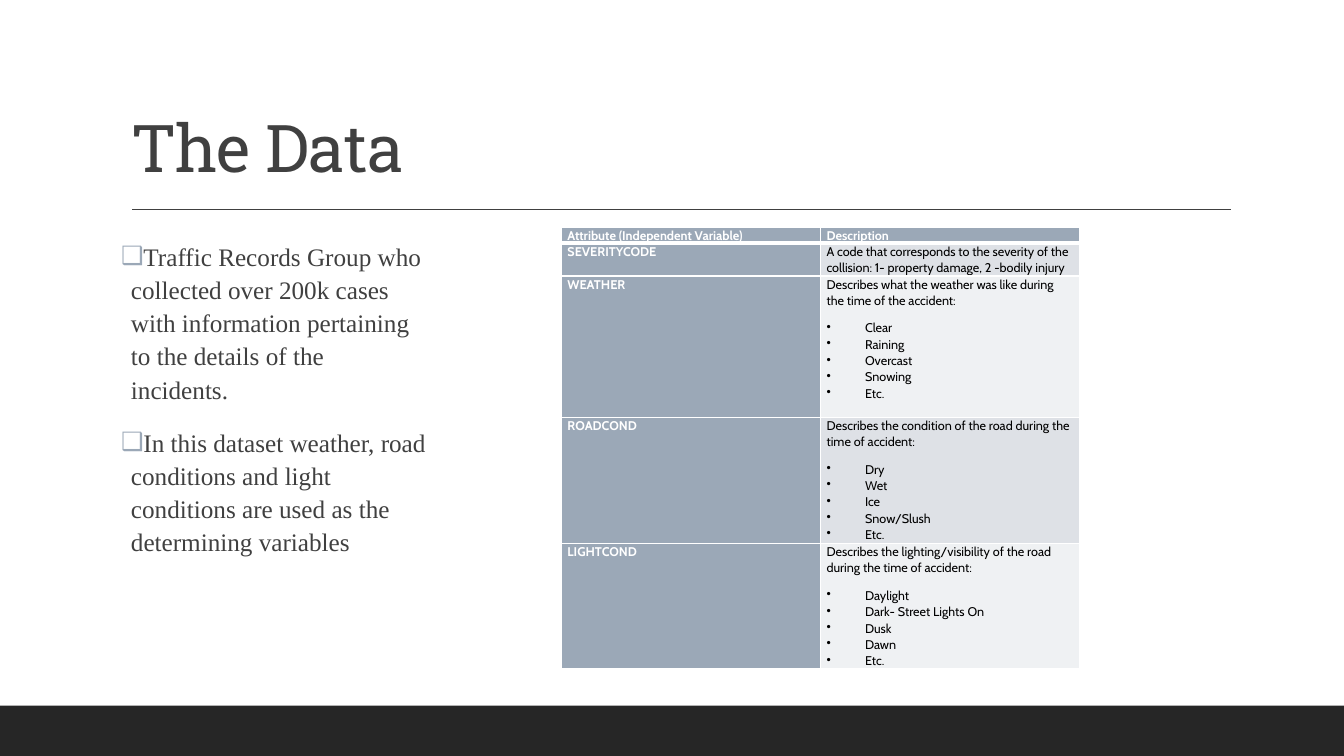
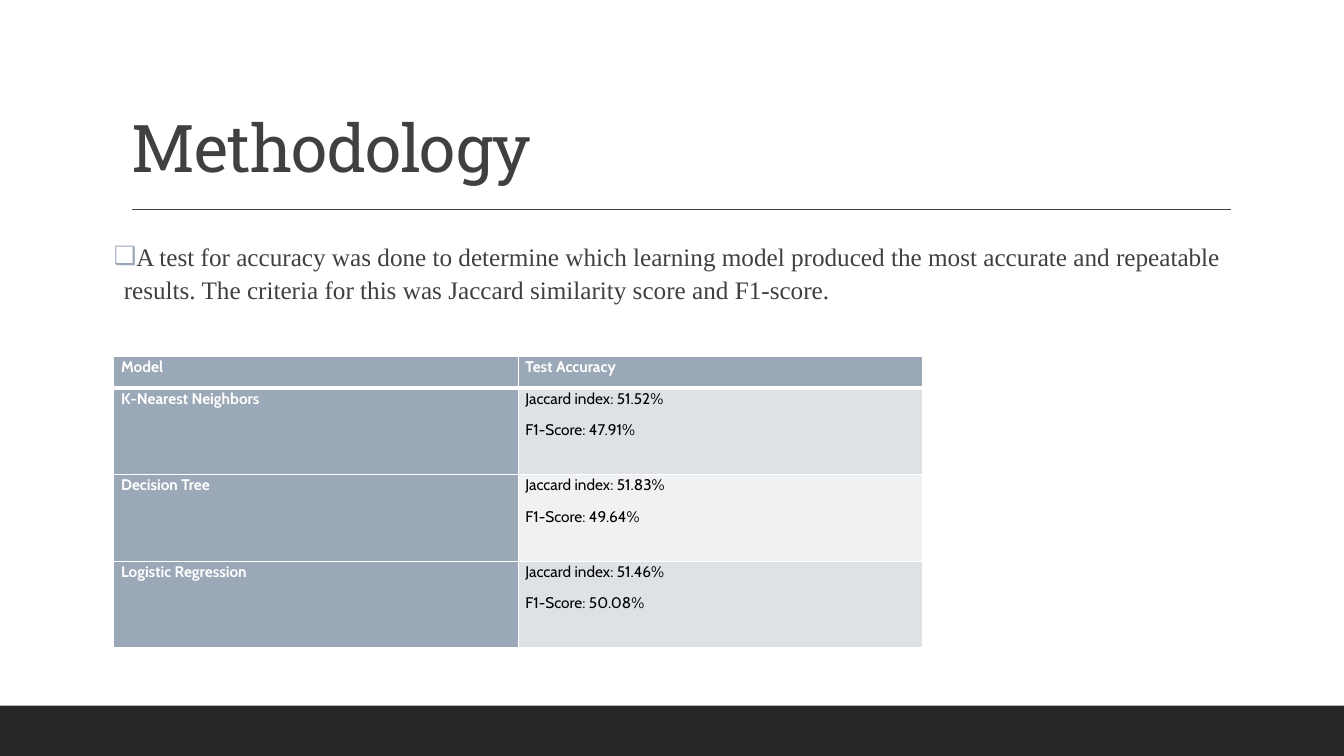
import pptx
import pptx.dml.color
import pptx.enum.shapes
import pptx.enum.text
import pptx.oxml
import pptx.oxml.ns
import pptx.util

Cm = pptx.util.Cm
Pt = pptx.util.Pt

COLORS = {
    "band": "262626",
    "text": "404040",
    "accent": "9BA8B7",
    "odd_row": "DEE1E6",
    "even_row": "EFF1F3",
    "white": "FFFFFF",
    "black": "000000",
}
TITLE_FONT = {"name": "Roboto Slab", "size": Pt(47)}
BODY_FONT = {"name": "Times New Roman", "size": Pt(18)}
TITLE_SPACING = {"line_spacing": 0.9, "alignment": pptx.enum.text.PP_ALIGN.LEFT}
BODY_SPACING = {"line_spacing": 1.1, "space_before": Pt(12), "space_after": Pt(2)}
CELL_SPACING = {"line_spacing": 1.07, "space_after": Pt(8)}
CELL_BULLET_SPACING = {"line_spacing": 1.07, "space_after": Pt(0)}

DATA_POINTS = [
    "Traffic Records Group who collected over 200k cases with information "
    "pertaining to the details of the incidents.",
    "In this dataset weather, road conditions and light conditions are used "
    "as the determining variables",
]
DATA_ROWS = [
    ("Attribute (Independent Variable)", ["Description"], []),
    ("SEVERITYCODE",
     ["A code that corresponds to the severity of the collision: "
      "1- property damage, 2 -bodily injury"], []),
    ("WEATHER",
     ["Describes what the weather was like during the time of the accident:"],
     ["Clear", "Raining", "Overcast", "Snowing", "Etc."]),
    ("ROADCOND",
     ["Describes the condition of the road during the time of accident:"],
     ["Dry", "Wet", "Ice", "Snow/Slush", "Etc."]),
    ("LIGHTCOND",
     ["Describes the lighting/visibility of the road during the time of accident:"],
     ["Daylight", "Dark- Street Lights On", "Dusk", "Dawn", "Etc."]),
]
METHOD_POINTS = [
    "A test for accuracy was done to determine which learning model produced "
    "the most accurate and repeatable results. The criteria for this was "
    "Jaccard similarity score and F1-score.",
]
METHOD_ROWS = [
    ("Model", ["Test Accuracy"], []),
    ("K-Nearest Neighbors", ["Jaccard index: 51.52%", "F1-Score: 47.91%"], []),
    ("Decision Tree", ["Jaccard index: 51.83%", "F1-Score: 49.64%"], []),
    ("Logistic Regression", ["Jaccard index: 51.46%", "F1-Score: 50.08%"], []),
]


def color(name):
    return pptx.dml.color.RGBColor.from_string(COLORS[name])


def set_values(target, values):
    for name, value in values.items():
        setattr(target, name, value)


def place(shape, left, top, width, height):
    set_values(shape, {"left": Cm(left), "top": Cm(top),
                       "width": Cm(width), "height": Cm(height)})


def add_xml(parent, tag, **attributes):
    element = pptx.oxml.parse_xml(f"<a:{tag} {pptx.oxml.ns.nsdecls('a')}/>")
    for name, value in attributes.items():
        element.set(name, str(value))
    parent.append(element)
    return element


def fill_paragraph(paragraph, text, spacing, font, color_name):
    set_values(paragraph, spacing)
    run = paragraph.add_run()
    run.text = text
    set_values(run.font, font)
    run.font.color.rgb = color(color_name)
    return run


def set_bullet(paragraph, character, indent, color_name):
    properties = paragraph._p.get_or_add_pPr()
    properties.set("marL", str(Cm(indent)))
    properties.set("indent", str(-Cm(indent)))
    add_xml(add_xml(properties, "buClr"), "srgbClr", val=COLORS[color_name])
    add_xml(properties, "buChar", char=character)


def next_paragraph(text_frame, index):
    return text_frame.add_paragraph() if index else text_frame.paragraphs[0]


def add_frame(slide):
    layout = slide.slide_layout
    band = slide.shapes.add_shape(pptx.enum.shapes.MSO_SHAPE.RECTANGLE,
                                  0, Cm(17.78), Cm(33.87), Cm(1.27))
    band.shadow.inherit = False
    band.fill.solid()
    band.fill.fore_color.rgb = color("band")
    band.line.fill.background()
    rule = slide.shapes.add_connector(pptx.enum.shapes.MSO_CONNECTOR.STRAIGHT,
                                      Cm(3.33), Cm(5.28), Cm(31.01), Cm(5.28))
    rule.line.color.rgb = color("text")
    rule.line.width = Pt(1)
    add_xml(rule.element.spPr, "effectLst")
    for position, shape in enumerate((band, rule)):
        shape.element.xpath("./*/p:cNvPr")[0].set("id", str(101 + position))
        layout.shapes.element.insert(2 + position, shape.element)


def set_title(slide, text):
    title = slide.shapes.title
    place(title, 3.05, 0.79, 27.94, 4.04)
    set_values(title.text_frame, {
        "vertical_anchor": pptx.enum.text.MSO_ANCHOR.BOTTOM,
        "auto_size": pptx.enum.text.MSO_AUTO_SIZE.NONE,
    })
    run = fill_paragraph(title.text_frame.paragraphs[0], text,
                         TITLE_SPACING, TITLE_FONT, "text")
    run._r.get_or_add_rPr().set("spc", "-50")


def set_body(slide, points, left, width, height):
    body = slide.placeholders[1]
    place(body, left, 5.87, width, height)
    set_values(body.text_frame, {
        "margin_left": 0, "margin_right": 0, "word_wrap": True,
        "auto_size": pptx.enum.text.MSO_AUTO_SIZE.NONE,
    })
    for index, point in enumerate(points):
        paragraph = next_paragraph(body.text_frame, index)
        fill_paragraph(paragraph, point, BODY_SPACING, BODY_FONT, "text")
        set_bullet(paragraph, "❑", 0.25, "accent")


def set_borders(cell, row_index):
    properties = cell._tc.get_or_add_tcPr()
    widths = {"lnL": 1, "lnR": 1,
              "lnT": 3 if row_index == 1 else 1,
              "lnB": 3 if row_index == 0 else 1}
    for position, (side, width) in enumerate(widths.items()):
        border = add_xml(properties, side, w=Pt(width))
        add_xml(add_xml(border, "solidFill"), "srgbClr", val=COLORS["white"])
        properties.insert(position, border)


def fill_cell(cell, row_index, is_heading, texts, bullets, size, margin):
    set_values(cell, {"margin_left": Cm(margin), "margin_right": Cm(margin),
                      "margin_top": 0, "margin_bottom": 0})
    row_fill = "odd_row" if row_index % 2 else "even_row"
    cell.fill.solid()
    cell.fill.fore_color.rgb = color("accent" if is_heading else row_fill)
    set_borders(cell, row_index)
    font = {"name": "Cabin", "size": Pt(size), "bold": is_heading}
    font_color = "white" if is_heading else "black"
    for index, text in enumerate(texts + bullets):
        paragraph = next_paragraph(cell.text_frame, index)
        is_bullet = index >= len(texts)
        spacing = CELL_BULLET_SPACING if is_bullet else CELL_SPACING
        fill_paragraph(paragraph, text, spacing, font, font_color)
        if is_bullet:
            set_bullet(paragraph, "•", 0.97, "black")


def add_table(slide, rows, left, top, column_width, row_heights, size, margin):
    table = slide.shapes.add_table(len(rows), 2, Cm(left), Cm(top),
                                   Cm(2 * column_width), Cm(sum(row_heights))).table
    for column in table.columns:
        column.width = Cm(column_width)
    for row_index, (heading, texts, bullets) in enumerate(rows):
        table.rows[row_index].height = Cm(row_heights[row_index])
        fill_cell(table.cell(row_index, 0), row_index, True,
                  [heading], [], size, margin)
        fill_cell(table.cell(row_index, 1), row_index, row_index == 0,
                  texts, bullets, size, margin)


def main():
    presentation = pptx.Presentation()
    set_values(presentation, {"slide_width": Cm(33.87), "slide_height": Cm(19.05)})
    layout = presentation.slide_layouts[1]

    data_slide = presentation.slides.add_slide(layout)
    add_frame(data_slide)
    set_title(data_slide, "The Data")
    set_body(data_slide, DATA_POINTS, 3.05, 7.7, 10.82)
    add_table(data_slide, DATA_ROWS, 14.15, 5.72, 6.53,
              [0.4, 0.81, 3.56, 3.18, 3.15], size=9, margin=0.15)

    method_slide = presentation.slides.add_slide(layout)
    set_title(method_slide, "Methodology")
    set_body(method_slide, METHOD_POINTS, 2.87, 27.94, 10.44)
    add_table(method_slide, METHOD_ROWS, 2.87, 8.97, 10.19,
              [0.81] + [2.18] * 3, size=11, margin=0.18)

    presentation.save("out.pptx")


if __name__ == "__main__":
    main()
